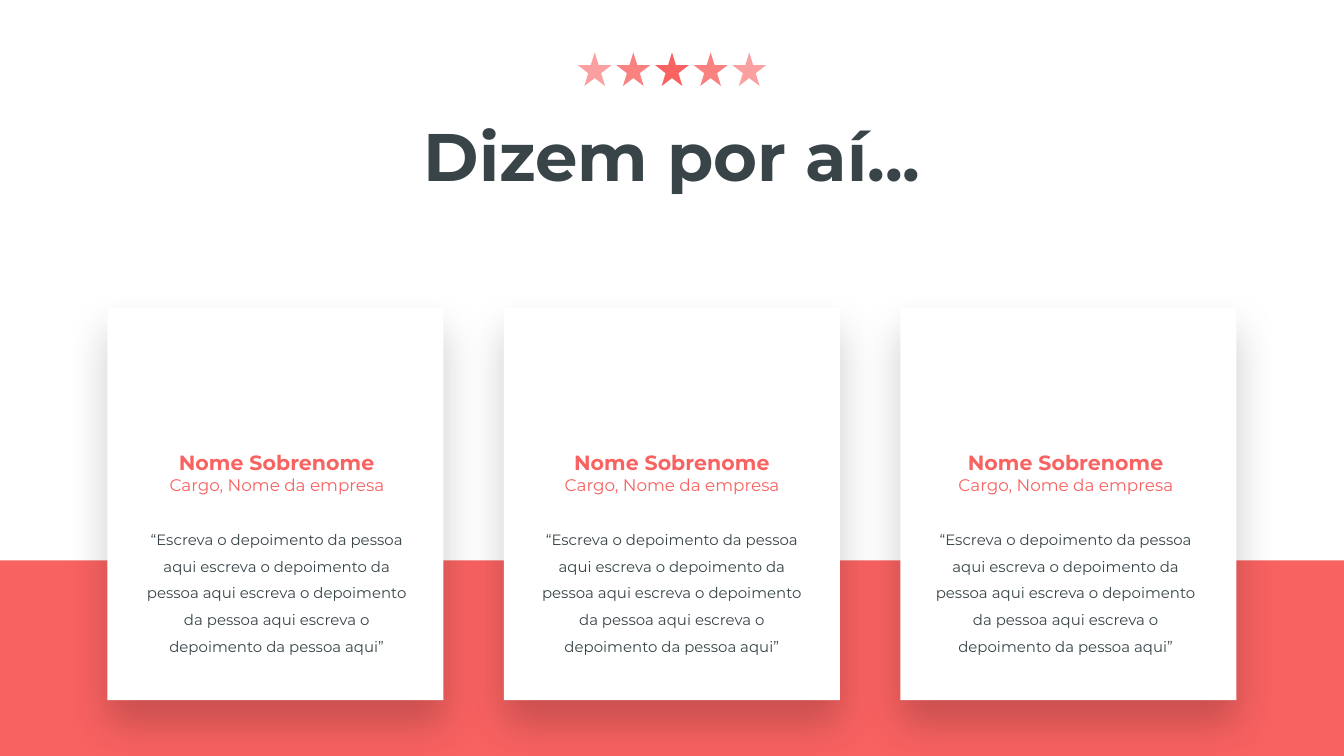
from lxml import etree
from pptx import Presentation
from pptx import util as u
from pptx.dml.color import RGBColor
from pptx.enum import shapes, text
from pptx.oxml import ns

HUES = {"coral": "F86261", "dark": "384448", "white": "FFFFFF", "black": "000000"}
FONT = "Montserrat"
QUOTE = ("“Escreva o depoimento da pessoa aqui escreva o depoimento da pessoa "
         "aqui escreva o depoimento da pessoa aqui escreva o depoimento da "
         "pessoa aqui”")


def place(box):
    return [u.Inches(n) for n in box]


def add_sub(node, tag, **attrs):
    return etree.SubElement(node, ns.qn(tag), attrs)


def add_shape(home, kind, box, hue, alpha=100):
    """Add a borderless shape; alpha is its opacity in percent."""
    shape = home.add_shape(kind, *place(box))
    shape.shadow.inherit = False
    shape.fill.solid()
    shape.fill.fore_color.rgb = RGBColor.from_string(HUES[hue])
    shape.line.fill.background()
    if alpha < 100:
        color = shape._element.spPr.find(".//" + ns.qn("a:srgbClr"))
        add_sub(color, "a:alpha", val=str(alpha * 1000))
    return shape


def add_text(home, box, lines, hue="dark", space=None):
    """Add centred text; each line is (words, size, bold)."""
    frame = home.add_textbox(*place(box)).text_frame
    frame.word_wrap = True
    frame.auto_size = text.MSO_AUTO_SIZE.SHAPE_TO_FIT_TEXT
    for i, (words, size, bold) in enumerate(lines):
        para = frame.add_paragraph() if i else frame.paragraphs[0]
        para.alignment = text.PP_ALIGN.CENTER
        if space:
            para.line_spacing = space
        run = para.add_run()
        run.text = words
        run.font.name = FONT
        run.font.size = u.Pt(size)
        run.font.bold = bold
        run.font.color.rgb = RGBColor.from_string(HUES[hue])


def cast_shade(shape):
    """Give the shape a soft shadow straight below it."""
    effects = shape._element.spPr.find(ns.qn("a:effectLst"))
    shade = add_sub(effects, "a:outerShdw", blurRad=str(u.Pt(23)),
                    dist=str(u.Pt(12)), dir=str(90 * 60000),
                    algn="t", rotWithShape="0")
    color = add_sub(shade, "a:srgbClr", val=HUES["black"])
    add_sub(color, "a:alpha", val="20000")


def add_stars(home, box):
    left, top, width, size = box
    group = home.add_group_shape().shapes
    alphas = (60, 80, 100, 80, 60)
    step = (width - size) / (len(alphas) - 1)
    for i, alpha in enumerate(alphas):
        add_shape(group, shapes.MSO_SHAPE.STAR_5_POINT,
                  (left + i * step, top, size, size), "coral", alpha)


def add_card(home, box, shift):
    """Add a quote card whose text is moved sideways by shift."""
    left, top, width, height = box
    cast_shade(add_shape(home, shapes.MSO_SHAPE.RECTANGLE, box, "white"))
    mid = left + width / 2 + shift
    add_text(home, (mid - 0.965, top + 1.01, 1.93, 0.44),
             [("Nome Sobrenome", 11, True),
              ("Cargo, Nome da empresa", 9, False)], hue="coral")
    add_text(home, (mid - 1.11, top + 1.54, 2.22, 1.09),
             [(QUOTE, 8, False)], space=1.5)


def main():
    deck = Presentation()
    deck.slide_width, deck.slide_height = u.Inches(10), u.Inches(5.625)
    home = deck.slides.add_slide(deck.slide_layouts[6]).shapes
    add_shape(home, shapes.MSO_SHAPE.RECTANGLE, (0, 4.17, 10, 1.455), "coral")
    for i, shift in enumerate((0.01, 0, -0.02)):
        add_card(home, (0.8 + i * 2.95, 2.29, 2.5, 2.92), shift)
    add_text(home, (2.02, 0.8, 5.96, 0.71), [("Dizem por aí...", 36, True)])
    add_stars(home, (4.3, 0.39, 1.4, 0.25))
    deck.save("out.pptx")


if __name__ == "__main__":
    main()
